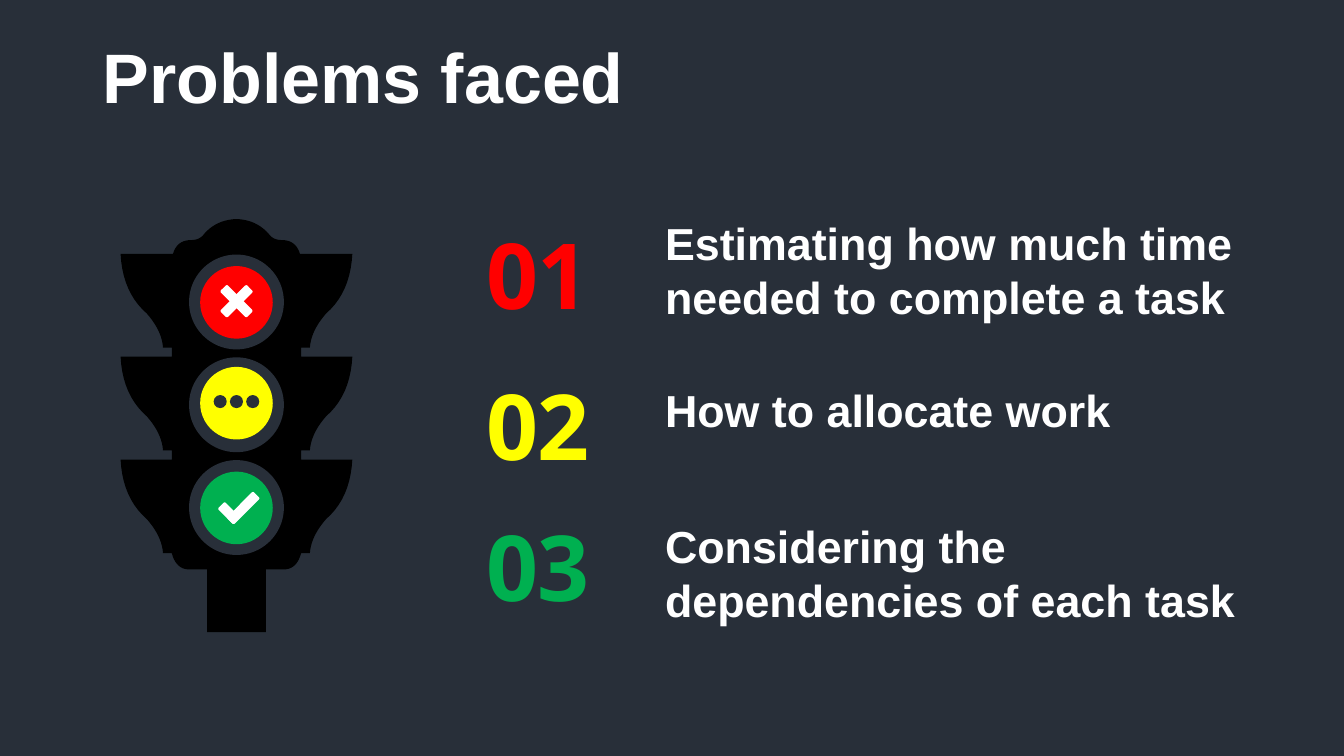
import pptx
import pptx.dml.color
import pptx.enum.shapes
import pptx.enum.text
import pptx.util
from dataclasses import dataclass

Cm = pptx.util.Cm
Shape = pptx.enum.shapes.MSO_SHAPE
Align = pptx.enum.text.PP_ALIGN


@dataclass(frozen=True)
class Theme:
    background: str = "282F39"
    body: str = "000000"
    white: str = "FFFFFF"
    red: str = "FF0000"
    yellow: str = "FFFF00"
    green: str = "00B050"
    title_size: int = 50
    number_size: int = 65
    item_size: int = 32
    text_font: str = "Arial"
    number_font: str = "Open Sans"


theme = Theme()
rgb = pptx.dml.color.RGBColor.from_string


def curve(start, control, end, steps=10):
    """Points along a quadratic curve, both ends included."""
    return [
        tuple((1 - t) ** 2 * a + 2 * t * (1 - t) * b + t * t * c
              for a, b, c in zip(start, control, end))
        for t in (step / steps for step in range(steps + 1))
    ]


def add_text(place, words, align, color, font):
    box = page.shapes.add_textbox(*map(Cm, place))
    frame = box.text_frame
    frame.word_wrap = True
    frame.auto_size = pptx.enum.text.MSO_AUTO_SIZE.SHAPE_TO_FIT_TEXT
    para = frame.paragraphs[0]
    para.alignment = align
    span = para.add_run()
    span.text = words
    for name, value in font.items():
        setattr(span.font, name, value)
    span.font.color.rgb = rgb(color)


deck = pptx.Presentation()
deck.slide_width, deck.slide_height = Cm(33.87), Cm(19.05)
page = deck.slides.add_slide(deck.slide_layouts[6])
page.background.fill.solid()
page.background.fill.fore_color.rgb = rgb(theme.background)

# Traffic light body: one half as (distance from axis, height), then mirrored
axis, visor_top, pitch = 5.96, 6.4, 2.59
half = curve((0, 5.52), (0.5, 5.54), (0.81, 5.89))
half += curve((0.81, 5.89), (0.92, 6.05), (1.14, 6.05))
half += curve((1.14, 6.05), (1.5, 6.05), (1.6, visor_top))
for level in range(3):
    top = visor_top + level * pitch
    half.append((1.63, top))
    half += curve((2.92, top), (2.87, top + 0.97), (2.26, top + 1.5))
    half += curve((2.26, top + 1.5), (1.88, top + 1.93), (1.85, top + 2.36))
    half.append((1.63, top + 2.36))
half += curve((1.63, 13.94), (1.52, 14.35), (1.19, 14.35))
half += [(0.74, 14.35), (0.74, 15.93)]
outline = [(Cm(axis - x), Cm(y)) for x, y in half]
outline += [(Cm(axis + x), Cm(y)) for x, y in reversed(half)]

light = page.shapes.add_group_shape()
builder = light.shapes.build_freeform(*outline[0])
builder.add_line_segments(outline[1:], close=True)
body = builder.convert_to_shape()

# Lamps and their symbols: kind, centre x, centre y, width, height, angle, colour
parts = []
lamps = [(7.62, theme.red), (10.16, theme.yellow), (12.8, theme.green)]
for level, (middle, color) in enumerate(lamps):
    parts += [
        (Shape.OVAL, axis, 7.61 + level * pitch, 2.39, 2.39, 0, theme.background),
        (Shape.OVAL, axis, middle, 1.83, 1.83, 0, color),
    ]
bars = [(axis, 7.59, 0.94, 45), (axis, 7.59, 0.94, 135),
        (5.77, 12.93, 0.56, 45), (6.13, 12.8, 0.94, 135)]
for x, y, length, angle in bars:
    parts.append((Shape.ROUNDED_RECTANGLE, x, y, length, 0.25, angle, theme.white))
for step in (-1, 0, 1):
    parts.append((Shape.OVAL, axis + step * 0.41, 10.12, 0.33, 0.33, 0, theme.background))

painted = [(body, theme.body)]
for kind, x, y, width, height, angle, color in parts:
    part = light.shapes.add_shape(
        kind, Cm(x - width / 2), Cm(y - height / 2), Cm(width), Cm(height))
    part.rotation = angle
    painted.append((part, color))
for part, color in painted:
    part.shadow.inherit = False
    part.fill.solid()
    part.fill.fore_color.rgb = rgb(color)
    part.line.fill.background()

# Title
title_font = {"name": theme.text_font, "size": pptx.util.Pt(theme.title_size), "bold": True}
add_text((2.34, 0.71, 13.9, 2.39), "Problems faced", Align.LEFT, theme.white, title_font)

# Numbered problems
number_font = {"name": theme.number_font, "size": pptx.util.Pt(theme.number_size), "bold": True}
item_font = {"name": theme.text_font, "size": pptx.util.Pt(theme.item_size), "bold": True}
problems = [
    ("01", theme.red, 5.38, "Estimating how much time needed to complete a task", 5.31, 3),
    ("02", theme.yellow, 9.19, "How to allocate work", 9.53, 1.63),
    ("03", theme.green, 12.75, "Considering the dependencies of each task", 12.95, 3),
]
for number, color, number_top, words, words_top, height in problems:
    add_text((11.91, number_top, 3.3, 3.02), number, Align.CENTER, color, number_font)
    add_text((16.51, words_top, 15.5, height), words, Align.LEFT, theme.white, item_font)

deck.save("out.pptx")
